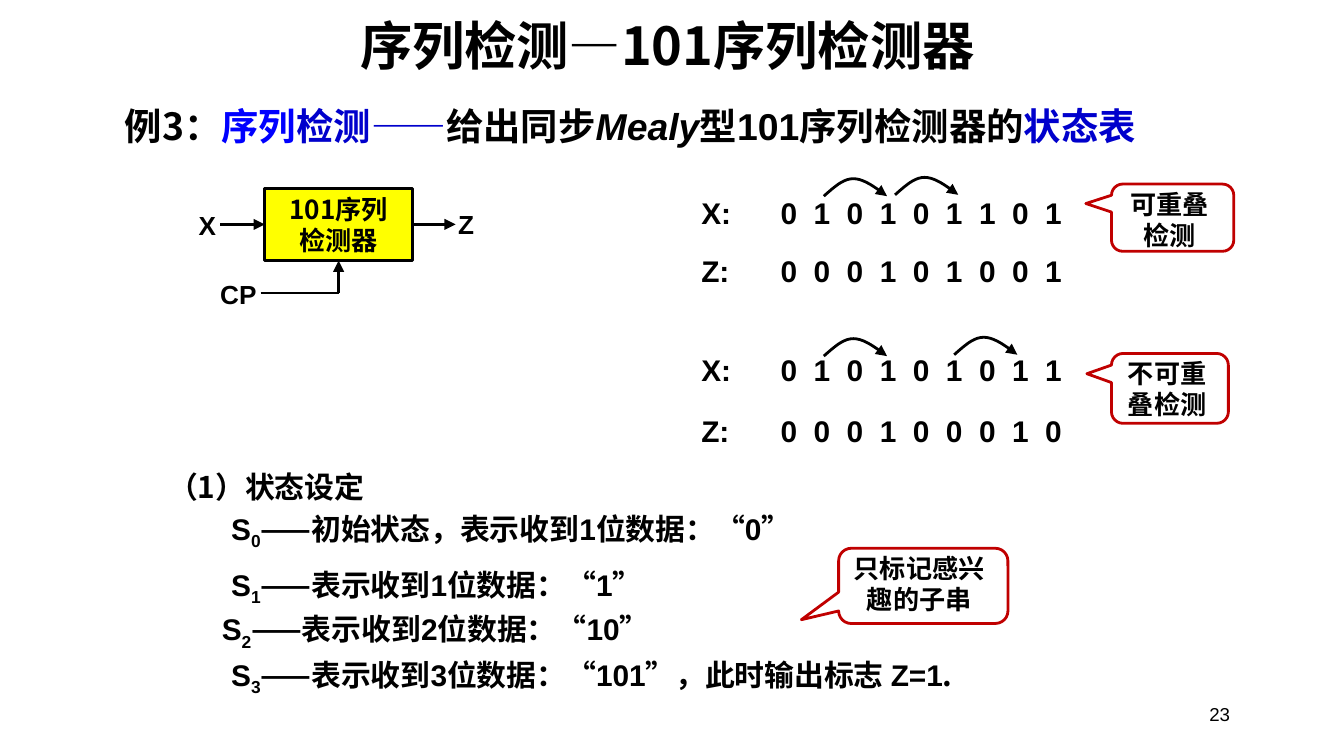
import pptx
import pptx.dml.color
import pptx.enum.shapes
import pptx.enum.text
import pptx.oxml.ns
import pptx.util
from lxml import etree
from pptx.util import Inches

qn = pptx.oxml.ns.qn
RGBColor = pptx.dml.color.RGBColor
ALIGN = pptx.enum.text.PP_ALIGN
ANCHOR = pptx.enum.text.MSO_ANCHOR
SHAPE = pptx.enum.shapes.MSO_SHAPE
COLORS = {"black": "000000", "white": "FFFFFF", "yellow": "FFFF00",
          "blue": "0000FF", "navy": "0000CC", "red": "C00000"}
CHINESE = "Noto Sans CJK SC"
LATIN = "Arial"

presentation = pptx.Presentation()
presentation.slide_width = Inches(10)
presentation.slide_height = Inches(10) * 9 // 16
slide = presentation.slides.add_slide(presentation.slide_layouts[1])
shapes = slide.shapes


def add_run(paragraph, text, size=14, font=LATIN, color="black", bold=True,
            italic=False, baseline=None):
    run = paragraph.add_run()
    run.text = text
    run.font.size = pptx.util.Pt(size)
    run.font.name = font
    run.font.bold = bold
    run.font.italic = italic
    run.font.color.rgb = RGBColor.from_string(COLORS[color])
    properties = run._r.get_or_add_rPr()
    east_asian = etree.SubElement(properties, qn("a:ea"))
    east_asian.set("typeface", CHINESE)
    if baseline is not None:
        properties.set("baseline", str(baseline))


def add_text_box(left, top, width, height, align=ALIGN.LEFT):
    """Add a wrapping text box and return its shape and first paragraph."""
    box = shapes.add_textbox(Inches(left), Inches(top), Inches(width), Inches(height))
    box.text_frame.word_wrap = True
    paragraph = box.text_frame.paragraphs[0]
    paragraph.alignment = align
    return box, paragraph


# Title and body placeholders
title, states = shapes.title, slide.placeholders[1]
for placeholder, (left, top, width, height) in (
        (title, (0.98, 0.05, 7.97, 0.57)), (states, (1.15, 3.44, 6.76, 1.73))):
    placeholder.left, placeholder.top = Inches(left), Inches(top)
    placeholder.width, placeholder.height = Inches(width), Inches(height)
    placeholder.text_frame.vertical_anchor = ANCHOR.TOP
    placeholder.text_frame.auto_size = pptx.enum.text.MSO_AUTO_SIZE.NONE

paragraph = title.text_frame.paragraphs[0]
paragraph.alignment = ALIGN.CENTER
add_run(paragraph, "序列检测—101序列检测器", size=28, font=CHINESE)

# Problem statement
box, paragraph = add_text_box(0.83, 0.72, 8.03, 0.44)
for text, style in (
        ("例3：", {}), ("序列", {"color": "blue"}), ("检测——", {"color": "navy"}),
        ("给出同步", {}), ("Mealy", {"font": LATIN, "italic": True}), ("型", {}),
        ("101", {"font": LATIN}), ("序列检测器的", {}), ("状态表", {"color": "navy"})):
    add_run(paragraph, text, **{"size": 20, "font": CHINESE, **style})

# State definitions: indent, line spacing, space before, runs
state_lines = [
    (0, 1, 0, [("（1）状态设定", CHINESE)]),
]
for number, (indent, spacing, space, meaning, count, bits, ending) in enumerate((
        (0.47, 1, 3, "——初始状态，表示收到", "1", "0", []),
        (0.47, 0.85, 9.2, "——表示收到", "1", "1", []),
        (0.4, 0.85, 5.4, "——表示收到", "2", "10", []),
        (0.47, 0.85, 5.8, "——表示收到", "3", "101",
         [("，此时输出标志 ", CHINESE), ("Z=1", LATIN), (".", CHINESE)]))):
    state_lines.append((indent, spacing, space, [
        ("S", LATIN), (str(number), "subscript"), (meaning, CHINESE), (count, LATIN),
        ("位数据：“", CHINESE), (bits, LATIN), ("”", CHINESE), *ending]))

for index, (indent, spacing, space, runs) in enumerate(state_lines):
    frame = states.text_frame
    paragraph = frame.add_paragraph() if index else frame.paragraphs[0]
    properties = paragraph._p.get_or_add_pPr()
    properties.set("marL", str(Inches(indent)))
    properties.set("indent", "0")
    etree.SubElement(properties, qn("a:buNone"))
    paragraph.line_spacing = float(spacing)
    paragraph.space_before = pptx.util.Pt(space)
    for text, font in runs:
        if font == "subscript":
            add_run(paragraph, text, size=16, baseline=-25000)
        else:
            add_run(paragraph, text, size=16, font=font)

# Input and output sequences, one digit per tab stop
for top, name, digits in ((1.4, "X:", "010101101"), (1.83, "Z:", "000101001"),
                          (2.57, "X:", "010101011"), (3.02, "Z:", "000100010")):
    box, paragraph = add_text_box(5.12, top, 3.1, 0.37)
    tab_list = etree.SubElement(paragraph._p.get_or_add_pPr(), qn("a:tabLst"))
    for position in range(len(digits)):
        etree.SubElement(tab_list, qn("a:tab"), algn="l",
                         pos=str(Inches(0.59 + 0.246 * position)))
    add_run(paragraph, "\t".join([name, *digits]), size=16)

# Arcs over the detected sequences: two cubic curves from each start
ARC = (((0, 0), (0.07, -0.06), (0.14, -0.13), (0.22, -0.13)),
       ((0.22, -0.13), (0.3, -0.13), (0.39, -0.06), (0.47, 0)))
STEPS = 10
arrows = []
for left, top in ((6.13, 1.46), (6.66, 1.45), (6.13, 2.65), (7.1, 2.64)):
    points = []
    for curve in ARC:
        for step in range(1, STEPS + 1):
            t = step / STEPS
            weights = ((1 - t) ** 3, 3 * t * (1 - t) ** 2, 3 * t * t * (1 - t), t ** 3)
            x, y = (sum(w * point[axis] for w, point in zip(weights, curve))
                    for axis in (0, 1))
            points.append((Inches(left + x), Inches(top + y)))
    builder = shapes.build_freeform(Inches(left), Inches(top))
    builder.add_line_segments(points, close=False)
    arc = builder.convert_to_shape()
    arc.shadow.inherit = False
    arc.fill.background()
    arrows.append(arc)

# Callouts: balloon, pointer, then text
for balloon, pointer, text_area, text in (
        ((8.27, 1.37, 0.91, 0.5), (-0.71, -0.21), (8.28, 1.35, 0.85, 0.57), "可重叠检测"),
        ((8.27, 2.63, 0.87, 0.52), (-0.71, -0.21), (8.28, 2.61, 0.81, 0.57), "不可重叠检测"),
        ((6.24, 4.08, 1.26, 0.56), (-0.72, 0.45), (6.25, 4.06, 1.18, 0.87),
         "只标记感兴趣的子串")):
    callout = shapes.add_shape(SHAPE.ROUNDED_RECTANGULAR_CALLOUT, *map(Inches, balloon))
    callout.adjustments[0], callout.adjustments[1] = pointer
    callout.shadow.inherit = False
    callout.fill.solid()
    callout.fill.fore_color.rgb = RGBColor.from_string(COLORS["white"])
    callout.line.color.rgb = RGBColor.from_string(COLORS["red"])
    callout.line.width = pptx.util.Pt(1.5)
    box, paragraph = add_text_box(*text_area, align=ALIGN.CENTER)
    add_run(paragraph, text)

# Detector block with its signals
detector = shapes.add_shape(SHAPE.RECTANGLE, Inches(1.97), Inches(1.4),
                            Inches(1.1), Inches(0.54))
detector.shadow.inherit = False
detector.fill.solid()
detector.fill.fore_color.rgb = RGBColor.from_string(COLORS["yellow"])
detector.line.color.rgb = RGBColor.from_string(COLORS["black"])
detector.line.width = pptx.util.Pt(1.5)
frame = detector.text_frame
frame.word_wrap = False
frame.vertical_anchor = ANCHOR.MIDDLE
for paragraph, text in ((frame.paragraphs[0], "101序列"), (frame.add_paragraph(), "检测器")):
    paragraph.alignment = ALIGN.CENTER
    add_run(paragraph, text, font=CHINESE)

wires = []
for ends in ((1.64, 1.67, 1.97, 1.67), (1.94, 2.18, 2.52, 2.18),
             (2.52, 2.18, 2.52, 1.94), (3.07, 1.67, 3.39, 1.67)):
    wire = shapes.add_connector(pptx.enum.shapes.MSO_CONNECTOR.STRAIGHT,
                                *map(Inches, ends))
    etree.SubElement(wire._element.spPr, qn("a:effectLst"))
    wires.append(wire)
input_wire, clock_wire, clock_arrow, output_wire = wires
input_wire.end_connect(detector, 1)
clock_arrow.end_connect(detector, 2)
output_wire.begin_connect(detector, 3)

for line_shape in arrows + wires:
    line_shape.line.color.rgb = RGBColor.from_string(COLORS["black"])
    line_shape.line.width = pptx.util.Pt(1.5)
    if line_shape is not clock_wire:
        etree.SubElement(line_shape.line._get_or_add_ln(), qn("a:tailEnd"), type="triangle")

for area, text in (((1.38, 1.51, 0.34, 0.33), "X"), ((1.54, 2.02, 0.63, 0.33), "CP"),
                   ((3.31, 1.5, 0.43, 0.33), "Z")):
    box, paragraph = add_text_box(*area)
    add_run(paragraph, text)

# Slide number
box, paragraph = add_text_box(7.17, 5.12, 2.08, 0.38, align=ALIGN.RIGHT)
box.text_frame.vertical_anchor = ANCHOR.MIDDLE
add_run(paragraph, "23", size=10, bold=False)

presentation.save("out.pptx")
